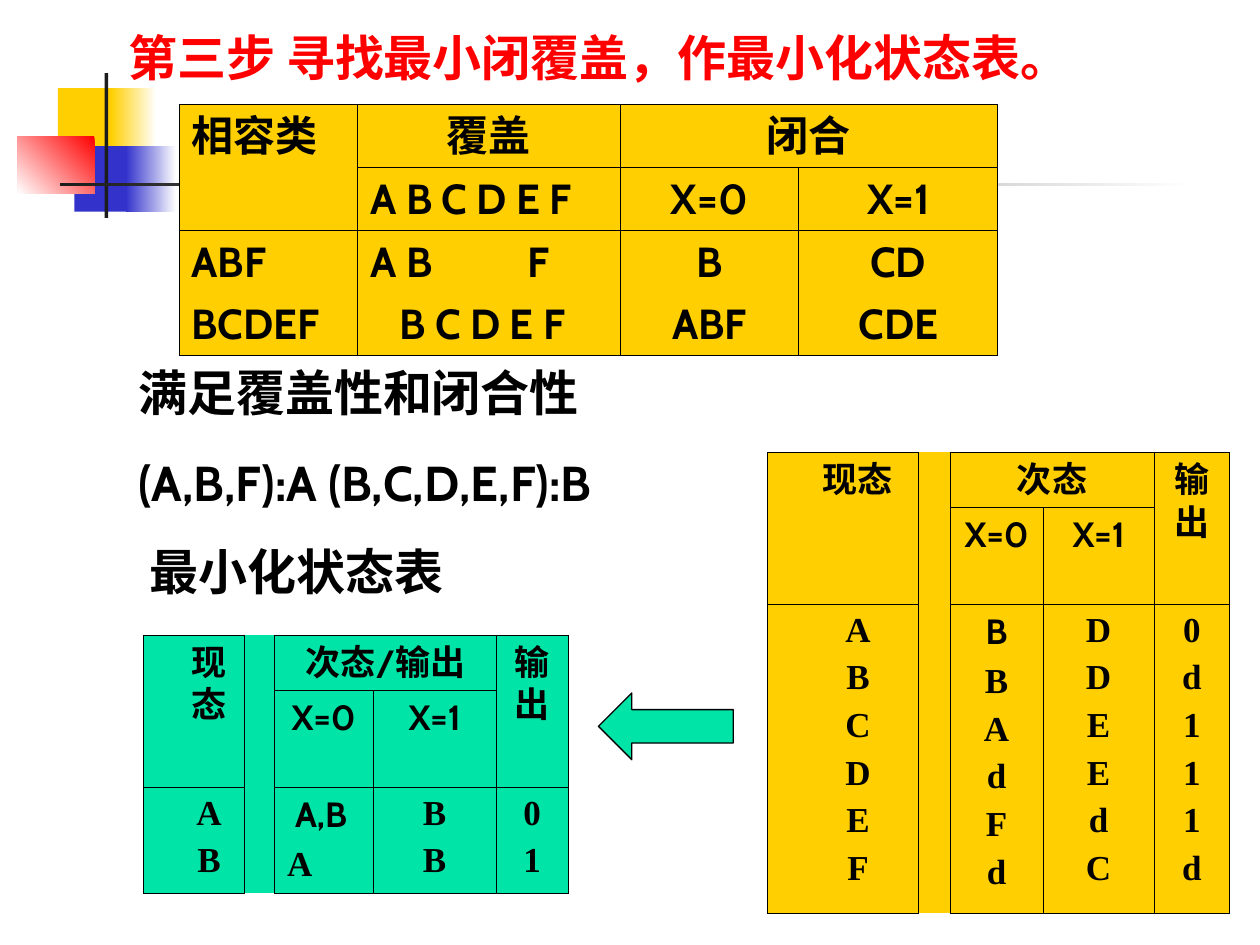
"""Build the slide on minimal closed covers and the reduced state table."""
from lxml import etree
from pptx import Presentation, util as u
from pptx.dml.color import RGBColor
from pptx.enum import shapes, text
from pptx.oxml.ns import qn

GOLD, GREEN, BLUE, RED = "FFCF01", "00E4A8", "3333CC", "FF0000"
WHITE, BLACK, DARK = "FFFFFF", "000000", "1C1C1C"
SANS, SERIF = "Cabin", "Times New Roman"
MID, LEFT = text.PP_ALIGN.CENTER, text.PP_ALIGN.LEFT
PLAIN = "{2D5ABB26-0587-4C30-8999-92F81FD0307C}"

rgb = RGBColor.from_string
deck = Presentation()
deck.slide_width, deck.slide_height = u.Inches(10), u.Inches(7.5)
slide = deck.slides.add_slide(deck.slide_layouts[6])
items = slide.shapes
unit = deck.slide_width / 100


def grid(*spans):
    """Turn hundredths of the slide's width into lengths."""
    return [round(n * unit) for n in spans]


def say(frame, words, size=28, color=BLACK, fonts=(SANS,), align=LEFT, gap=17.5, stops=()):
    """Write one paragraph per line; the last font serves the remaining lines."""
    frame.word_wrap = True
    for i, line in enumerate(words.split("\n")):
        para = frame.add_paragraph() if i else frame.paragraphs[0]
        para.alignment = align
        para.space_before = u.Pt(gap if i else 0)
        if stops:
            tabs = etree.SubElement(para._p.get_or_add_pPr(), qn("a:tabLst"))
            for stop in grid(*stops):
                etree.SubElement(tabs, qn("a:tab"), pos=str(stop), algn="l")
        run = para.add_run()
        run.text = line
        font = run.font
        font.size, font.bold, font.color.rgb = u.Pt(size), True, rgb(color)
        font.name = fonts[min(i, len(fonts) - 1)]
        etree.SubElement(font._element, qn("a:ea"), typeface=font.name)


bars = [
    (4.6, 7, 4.8, 5.2, GOLD, GOLD, 0),
    (8.8, 7, 3.6, 5.2, WHITE, GOLD, 180),
    (5.9, 11.6, 4.6, 5.2, BLUE, BLUE, 0),
    (10, 11.6, 4, 5.2, WHITE, BLUE, 180),
    (1.4, 10.8, 6.1, 4.6, RED, WHITE, 225),
    (8.3, 5.8, 0.3, 11.5, DARK, DARK, 0),
    (4.8, 14.5, 90, 0.3, WHITE, DARK, 180),
]
for *place, start, end, angle in bars:
    bar = items.add_shape(shapes.MSO_SHAPE.RECTANGLE, *grid(*place))
    bar.shadow.inherit = False
    bar.line.fill.background()
    if start == end:
        bar.fill.solid()
        bar.fill.fore_color.rgb = rgb(start)
    else:
        bar.fill.gradient()
        bar.fill.gradient_angle = angle
        for stop, color in zip(bar.fill.gradient_stops, (start, end)):
            stop.color.rgb = rgb(color)

notes = items.add_textbox(*grid(10, 28.3, 47.9, 24.6))
say(notes.text_frame, "满足覆盖性和闭合性\n(A,B,F):A (B,C,D,E,F):B\n 最小化状态表")
title = items.add_textbox(*grid(9.2, 1.7, 84.2, 5.7))
say(title.text_frame, "第三步 寻找最小闭覆盖，作最小化状态表。", color=RED)

arrow = items.add_shape(shapes.MSO_SHAPE.LEFT_ARROW, *grid(47.5, 55, 10.7, 5.3))
arrow.shadow.inherit = False
arrow.fill.solid()
arrow.fill.fore_color.rgb = rgb(GREEN)
arrow.line.color.rgb, arrow.line.width = rgb(BLACK), u.Pt(0.75)

heads = ["", "X=0", "X=1", ""]
joins = [(0, 0, 1, 0), (0, 1, 1, 1), (0, 3, 0, 4), (0, 5, 1, 5)]
tables = [
    dict(at=(11.4, 50.4), cols=(2.4, 5.6, 2.4, 7.8, 9.8, 5.7), rows=(4.4, 7.7, 8.4),
         color=GREEN, size=20, gap=5, joins=joins, bare=(0, 2), left=[(2, 3)],
         cells=[["", "现态", "", "次态/输出", "", "输出"], ["", *heads],
                ["", "A\nB", "", " A,B\nA", "B\nB", "0\n1"]]),
    dict(at=(14.2, 8.3), cols=(14.2, 20.8, 14.2, 15.8), rows=(5, 5, 9.9),
         color=GOLD, size=24, gap=6, joins=[(0, 0, 1, 0), (0, 2, 0, 3)], bare=(),
         left=[(0, 0), (1, 1), (2, 0), (2, 1)],
         cells=[["相容类", "覆盖", "闭合", ""], ["", "A B C D E F", "X=0", "X=1"],
                ["ABF\nBCDEF", "A B\tF\n\tB C D E F", "B\nABF", "CD\nCDE"]]),
    dict(at=(60.9, 35.9), cols=(2.4, 9.6, 2.5, 7.4, 8.8, 6), rows=(4.4, 7.7, 24.5),
         color=GOLD, size=20, gap=5, joins=joins, bare=(0, 2), left=[],
         cells=[["", "现态", "", "次态", "", "输出"], ["", *heads],
                ["", "A\nB\nC\nD\nE\nF", "", "B\nB\nA\nd\nF\nd",
                 "D\nD\nE\nE\nd\nC", "0\nd\n1\n1\n1\nd"]]),
]
for t in tables:
    if t["bare"]:
        t["cells"][1].insert(1, "")
    cols, rows, bare = t["cols"], t["rows"], t["bare"]
    box = items.add_table(len(rows), len(cols), *grid(*t["at"], sum(cols), sum(rows)))
    table = box.table
    table.first_row = table.horz_banding = False
    table._tbl.tblPr.find(qn("a:tableStyleId")).text = PLAIN
    for col, wide in zip(table.columns, grid(*cols)):
        col.width = wide
    for row, high in zip(table.rows, grid(*rows)):
        row.height = high
    for top, start, low, end in t["joins"]:
        table.cell(top, start).merge(table.cell(low, end))
    for r, line in enumerate(t["cells"]):
        for c, words in enumerate(line[:len(cols)]):
            cell = table.cell(r, c)
            if cell.is_spanned:
                continue
            props = cell._tc.get_or_add_tcPr()
            for side in "LRTB":
                if (side == "L" and c - 1 in bare) or (side == "R" and c in bare):
                    continue
                if c in bare and c and side in "TB":
                    continue
                edge = etree.SubElement(props, qn("a:ln" + side), w=str(u.Pt(0.45)))
                ink = etree.SubElement(edge, qn("a:solidFill"))
                etree.SubElement(ink, qn("a:srgbClr"), val=BLACK)
            cell.fill.solid()
            cell.fill.fore_color.rgb = rgb(t["color"])
            if words:
                fonts = (SANS,)
                if bare and r == 2:
                    fonts = (SANS, SERIF) if c == 3 else (SERIF,)
                say(cell.text_frame, words, size=t["size"], fonts=fonts, gap=t["gap"],
                    align=LEFT if (r, c) in t["left"] else MID,
                    stops=(2.3, 12.5) if "\t" in words else ())

deck.save("out.pptx")
